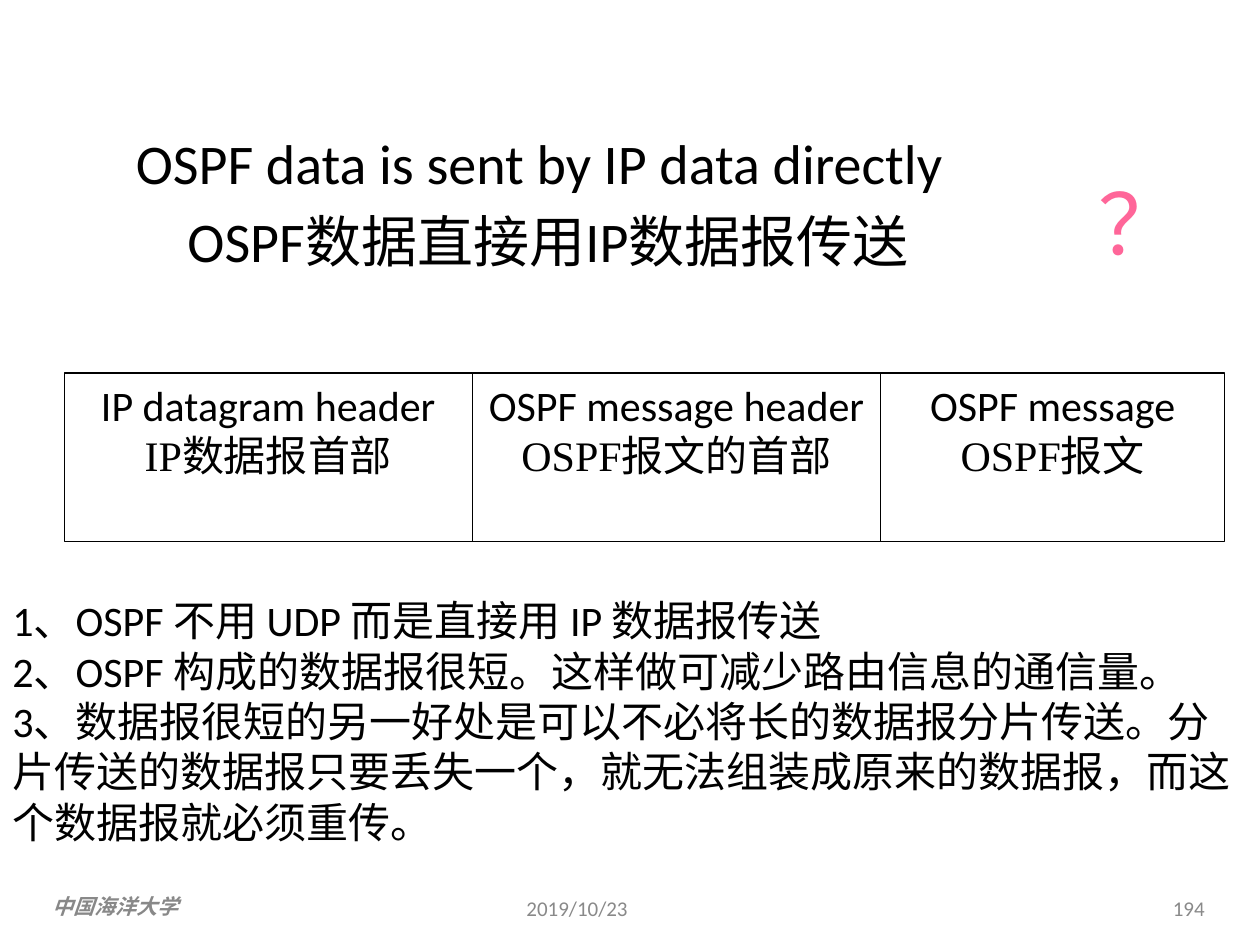
from pptx import Presentation
from pptx import util as u
from pptx.dml.color import RGBColor
from pptx.enum import shapes, text

BLACK = RGBColor(0x00, 0x00, 0x00)
PINK = RGBColor(0xFF, 0x66, 0x99)
GREY = RGBColor(0x89, 0x89, 0x89)
FOOTER_GREY = RGBColor(0x88, 0x88, 0x88)
LATIN, SERIF, SANS = "Calibri", "Times New Roman", "Arial"
ALIGN, ANCHOR = text.PP_ALIGN, text.MSO_ANCHOR

CELL = u.Inches(0.1)  # the slide is a grid of 100 columns by 75 rows
COLUMNS, ROWS = 100, 75

FIELD_ROW, FIELD_ROWS = 29.6, 13.4
FIELDS = [
    (32.4, "IP datagram header", "IP数据报首部"),
    (32.4, "OSPF message header", "OSPF报文的首部"),
    (27.3, "OSPF message", "OSPF报文"),
]
REASONS = [
    "1、OSPF 不用 UDP 而是直接用 IP 数据报传送",
    "2、OSPF 构成的数据报很短。这样做可减少路由信息的通信量。",
    "3、数据报很短的另一好处是可以不必将长的数据报分片传送。"
    "分片传送的数据报只要丢失一个，就无法组装成原来的数据报，"
    "而这个数据报就必须重传。",
]


def grid(*cells):
    return [round(cell * CELL) for cell in cells]


def write(frame, lines, size, color=BLACK, align=ALIGN.LEFT, anchor=ANCHOR.TOP):
    """Fill a text frame with one paragraph per (wording, font) pair."""
    frame.word_wrap = True
    frame.vertical_anchor = anchor
    for index, (wording, font) in enumerate(lines):
        paragraph = frame.add_paragraph() if index else frame.paragraphs[0]
        paragraph.alignment = align
        run = paragraph.add_run()
        run.text = wording
        run.font.name = font
        run.font.size = u.Pt(size)
        run.font.color.rgb = color
    return frame


def add_text(slide, area, lines, size, **style):
    box = slide.shapes.add_textbox(*grid(*area))
    return write(box.text_frame, lines, size, **style)


def add_heading(slide):
    frame = add_text(slide, (9.8, 9.7, 85, 16.7),
                     [("OSPF data is sent by IP data directly", LATIN),
                      ("OSPF数据直接用IP数据报传送", LATIN)],
                     32, align=ALIGN.JUSTIFY)
    chinese = frame.paragraphs[1]
    chinese.space_before = u.Pt(6.4)
    chinese._p.get_or_add_pPr().set("marL", str(u.Inches(0.41)))


def add_datagram(slide):
    """Draw the datagram's fields side by side as one group."""
    datagram = slide.shapes.add_group_shape()
    left = 5.1
    for width, english, chinese in FIELDS:
        field = datagram.shapes.add_shape(
            shapes.MSO_SHAPE.RECTANGLE,
            *grid(left, FIELD_ROW, width, FIELD_ROWS))
        field.shadow.inherit = False
        field.fill.background()
        field.line.color.rgb = BLACK
        field.line.width = u.Pt(0.75)
        write(field.text_frame, [(english, LATIN), (chinese, SERIF)], 24,
              align=ALIGN.CENTER)
        left += width


def add_footer(slide):
    school = add_text(slide, (4.2, 70.9, 20.8, 2), [("中国海洋大学", SANS)],
                      12, color=FOOTER_GREY)
    school.margin_left = school.margin_right = 0
    school.margin_top = school.margin_bottom = 0
    font = school.paragraphs[0].runs[0].font
    font.bold = font.italic = True
    for column, wording, align in ((40.8, "2019/10/23", ALIGN.LEFT),
                                   (73.3, "194", ALIGN.RIGHT)):
        add_text(slide, (column, 70.1, 23.3, 4), [(wording, LATIN)], 12,
                 color=GREY, align=align, anchor=ANCHOR.MIDDLE)


def main():
    deck = Presentation()
    deck.slide_width, deck.slide_height = grid(COLUMNS, ROWS)
    slide = deck.slides.add_slide(deck.slide_layouts[6])
    add_footer(slide)
    add_heading(slide)
    add_datagram(slide)
    add_text(slide, (86.2, 13.1, 10.2, 9), [("？", LATIN)], 48, color=PINK)
    add_text(slide, (0, 46.7, COLUMNS, 21.2),
             [(reason, LATIN) for reason in REASONS], 24)
    deck.save("out.pptx")


if __name__ == "__main__":
    main()
